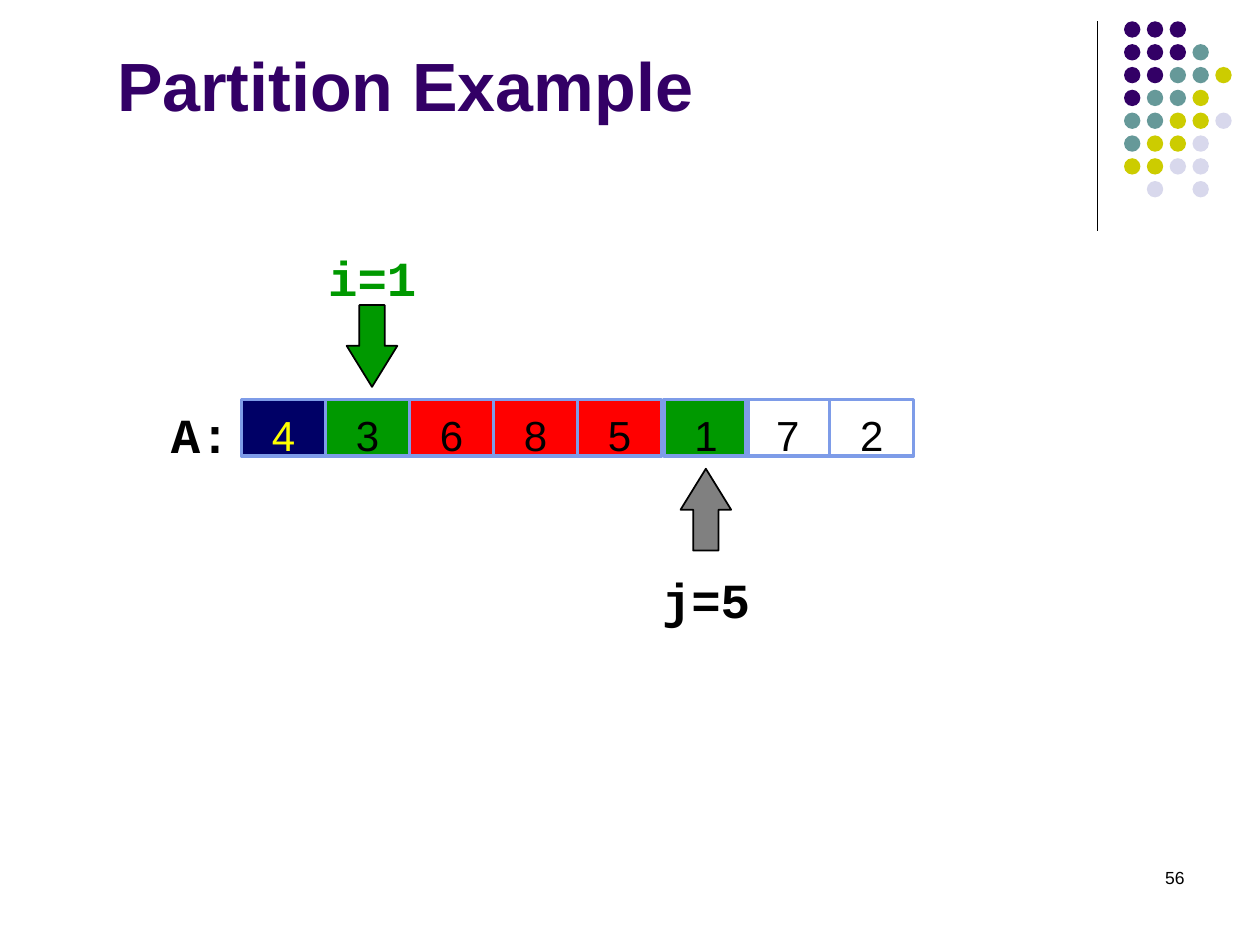
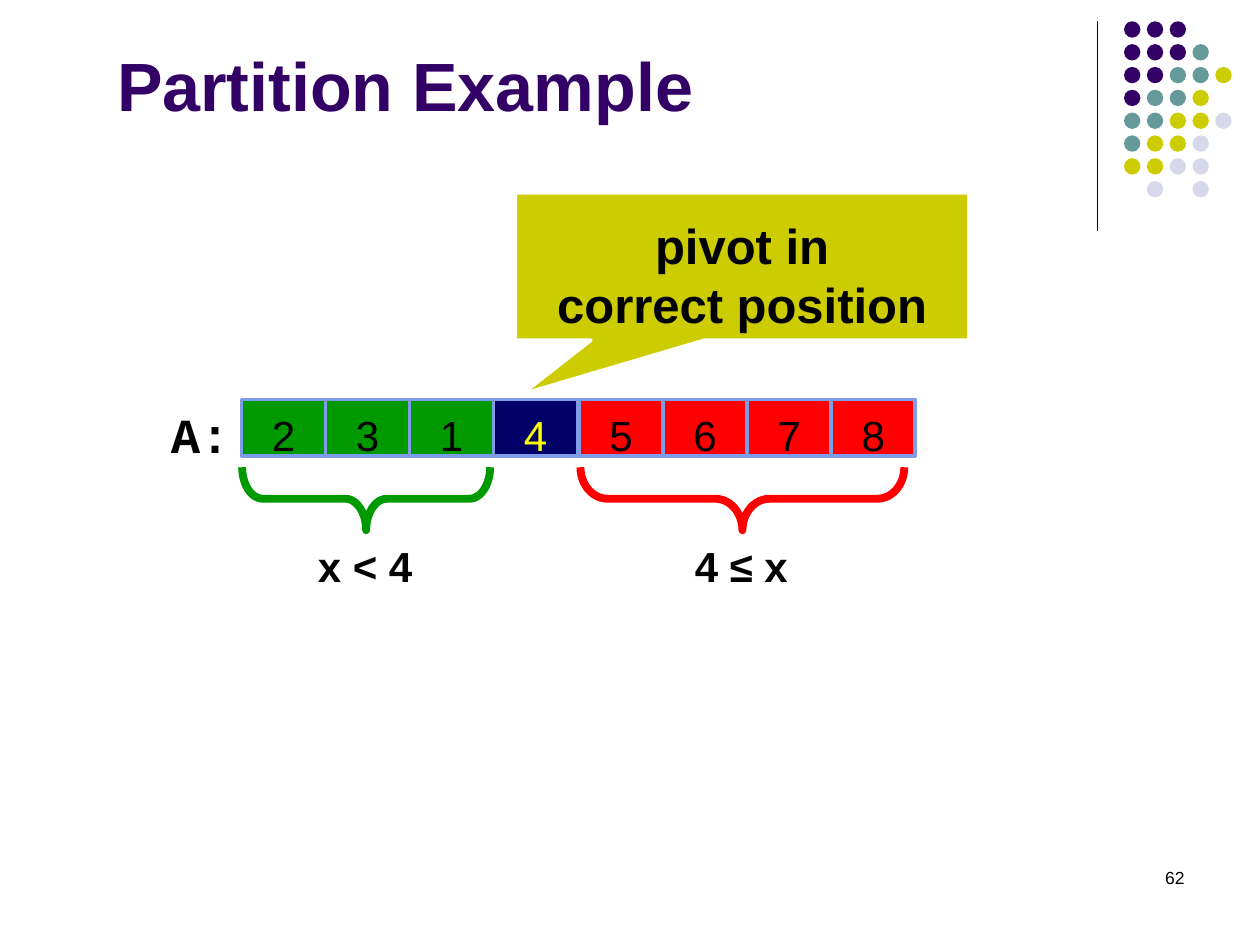
from pptx import Presentation
from pptx.dml.color import RGBColor
from pptx.enum.shapes import MSO_CONNECTOR as Connector, MSO_SHAPE as Shape
from pptx.enum.text import MSO_ANCHOR as Anchor, PP_ALIGN as Align
from pptx.oxml.ns import qn
from pptx.util import Cm, Pt
from lxml import etree

COLORS = {
    "purple": "330066", "teal": "669999", "olive": "CCCC00", "lilac": "D8D8EC",
    "black": "000000", "white": "FFFFFF", "gray": "808080", "border": "7E9CE8",
    "navy": "000066", "yellow": "FFFF00", "green": "009900", "red": "FF0000",
}
DOT_COLORS = {"p": "purple", "t": "teal", "o": "olive", "l": "lilac"}
DOT_ROWS = ["ppp", "pppt", "pptto", "ptto", "ttool", "tool", "ooll", " l l"]
DOT_PITCH = 0.46
ROW_LEFT, ROW_TOP, ROW_WIDTH, ROW_HEIGHT = 4.87, 8.05, 13.55, 1.14
BRACE_TOP, BRACE_DEPTH = 9.42, 1.27


def rgb(color):
    return RGBColor.from_string(COLORS[color])


def write(box, lines, size, color="black", align=Align.CENTER, bold=True,
          font="Arial", anchor=Anchor.TOP, inset_top=0.13, inset_bottom=0.13, wrap=True):
    frame = box.text_frame
    frame.word_wrap = wrap
    frame.vertical_anchor = anchor
    frame.margin_left = frame.margin_right = Cm(0.25)
    frame.margin_top, frame.margin_bottom = Cm(inset_top), Cm(inset_bottom)
    for index, line in enumerate(lines):
        paragraph = frame.add_paragraph() if index else frame.paragraphs[0]
        paragraph.alignment = align
        run = paragraph.add_run()
        run.text = line
        run.font.size, run.font.bold, run.font.name = Pt(size), bold, font
        run.font.color.rgb = rgb(color)


def add_label(slide, text, left, top, width, height, size, **style):
    box = slide.shapes.add_textbox(Cm(left), Cm(top), Cm(width), Cm(height))
    write(box, [text], size, **style)


def add_figure(slide, kind, left, top, width, height, fill=None, line=None, line_width=1):
    figure = slide.shapes.add_shape(kind, Cm(left), Cm(top), Cm(width), Cm(height))
    figure.shadow.inherit = False
    if fill:
        figure.fill.solid()
        figure.fill.fore_color.rgb = rgb(fill)
    else:
        figure.fill.background()
    if line:
        figure.line.color.rgb = rgb(line)
        figure.line.width = Pt(line_width)
    else:
        figure.line.fill.background()
    return figure


def add_dots(slide):
    for row, codes in enumerate(DOT_ROWS):
        for column, code in enumerate(codes):
            if code in DOT_COLORS:
                add_figure(slide, Shape.OVAL, 22.66 + column * DOT_PITCH,
                           0.43 + row * DOT_PITCH, 0.33, 0.33, DOT_COLORS[code])


def add_frame(prs, number):
    slide = prs.slides.add_slide(prs.slide_layouts[6])
    divider = slide.shapes.add_connector(
        Connector.STRAIGHT, Cm(22.12), Cm(0.43), Cm(22.12), Cm(4.65))
    divider.line.color.rgb = rgb("black")
    divider.line.width = Pt(0.75)
    etree.SubElement(divider._element.spPr, qn("a:effectLst"))
    add_dots(slide)
    add_label(slide, "Partition Example", 2.11, 0.1, 21.59, 3.18, 39,
              color="purple", align=Align.LEFT, anchor=Anchor.MIDDLE)
    add_label(slide, number, 18.21, 17.35, 5.92, 1.27, 10,
              align=Align.RIGHT, bold=False)
    return slide


def add_array(slide, cells):
    add_label(slide, "A:", 0.43, 8.03, 4.45, 1.45, 28,
              align=Align.RIGHT, font="Courier New")
    cell_width = ROW_WIDTH / len(cells)
    for index, (value, fill, nudge) in enumerate(cells):
        cell = add_figure(slide, Shape.RECTANGLE, ROW_LEFT + index * cell_width + nudge,
                          ROW_TOP, cell_width, ROW_HEIGHT, fill, "border", 2)
        write(cell, [value], 24, "yellow" if fill == "navy" else "black",
              bold=False, inset_top=0.21, inset_bottom=0)


def add_pointer(slide, kind, text, left, arrow_top, text_left, text_top, fill, color):
    arrow = add_figure(slide, kind, left, arrow_top, 1.02, 1.65, fill, "black")
    arrow.adjustments[0], arrow.adjustments[1] = 0.5, 0.81
    add_label(slide, text, text_left, text_top, 6.99, 1.45, 28,
              color=color, font="Courier New")


def add_brace(slide, text, left, width, color, curve):
    center = left + width / 2
    brace = add_figure(slide, Shape.RIGHT_BRACE, center - BRACE_DEPTH / 2,
                       BRACE_TOP + (BRACE_DEPTH - width) / 2, BRACE_DEPTH, width,
                       line=color, line_width=4.5)
    brace.rotation = 90
    brace.adjustments[0] = curve
    add_label(slide, text, center - 1.95, 10.77, 3.86, 1.27, 24)


def add_callout(slide, lines):
    callout = add_figure(slide, Shape.RECTANGULAR_CALLOUT, 10.39, 3.89, 9.14, 2.97,
                         "olive", "white", 2)
    callout.adjustments[0], callout.adjustments[1] = -0.485, 0.865
    write(callout, lines, 28, anchor=Anchor.MIDDLE, inset_top=0.3,
          inset_bottom=0, wrap=False)


def build_scan(prs):
    slide = add_frame(prs, "56")
    add_array(slide, [("4", "navy", 0), ("3", "green", 0), ("6", "red", 0),
                      ("8", "red", 0), ("5", "red", 0), ("7", None, 0.0)][:5]
              + [("1", "green", 0.05), ("7", None, 0), ("2", None, 0)])
    add_pointer(slide, Shape.DOWN_ARROW, "i=1", 6.99, 6.15, 4.01, 4.85, "green", "green")
    add_pointer(slide, Shape.UP_ARROW, "j=5", 13.72, 9.45, 10.74, 11.35, "gray", "black")


def build_result(prs):
    slide = add_frame(prs, "62")
    smaller = [(value, "green", 0) for value in "231"]
    larger = [(value, "red", 0.03) for value in "5678"]
    add_array(slide, smaller + [("4", "navy", 0)] + larger)
    add_brace(slide, "x < 4", 4.88, 5, "green", 0.33)
    add_brace(slide, "4 ≤ x", 11.7, 6.53, "red", 0.43)
    add_callout(slide, ["pivot in", "correct position"])


def main():
    prs = Presentation()
    prs.slide_width, prs.slide_height = Cm(25.4), Cm(19.05)
    build_scan(prs)
    build_result(prs)
    prs.save("out.pptx")


if __name__ == "__main__":
    main()
